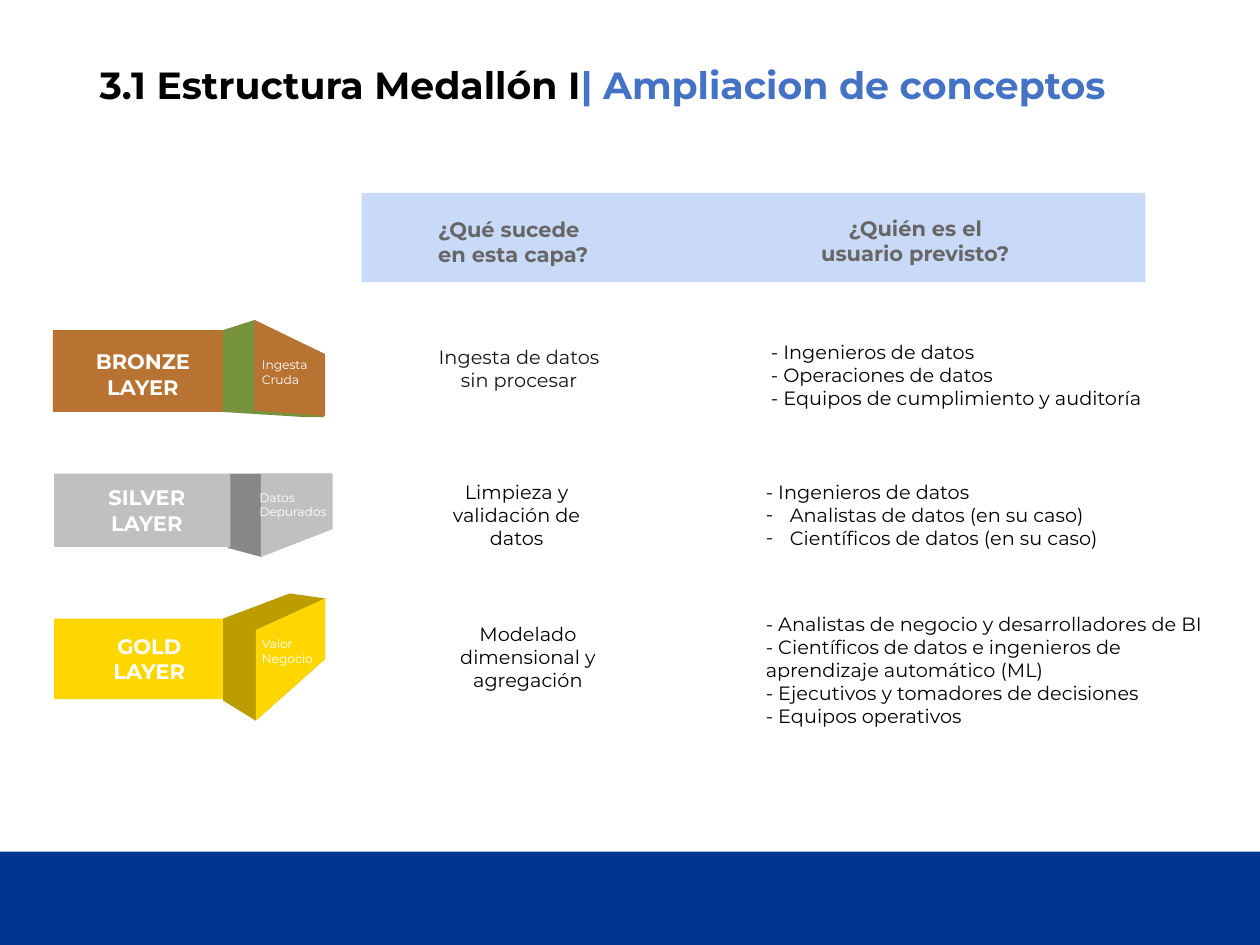
from lxml import etree
from pptx import Presentation
from pptx.dml.color import RGBColor
from pptx.enum.shapes import MSO_SHAPE
from pptx.enum.text import MSO_ANCHOR, MSO_AUTO_SIZE, PP_ALIGN
from pptx.oxml.ns import qn
from pptx.util import Inches, Pt

RECT = MSO_SHAPE.RECTANGLE
LEFT, CENTER = PP_ALIGN.LEFT, PP_ALIGN.CENTER
MIDDLE = MSO_ANCHOR.MIDDLE
NO_FIT, GROW = MSO_AUTO_SIZE.NONE, MSO_AUTO_SIZE.SHAPE_TO_FIT_TEXT
FONT = "Montserrat"

COLORS = {
    "black": "000000", "ink": "161616", "white": "FFFFFF", "gray": "666666",
    "title": "4472C4", "footer": "003594", "header": "C9DAF8",
    "bronze": "B87333", "bronze_side": "76923C",
    "silver": "C0C0C0", "silver_side": "888888",
    "gold": "FFD700", "gold_side": "BC9D00",
}

STYLES = {
    "title": {"size": Pt(21.6), "bold": True},
    "heading": {"size": Pt(12), "bold": True},
    "body": {"size": Pt(11), "bold": False},
    "tag": {"size": Pt(7), "bold": False},
}

LAYERS = [
    {
        "color": "bronze",
        "order": ("bar", "side", "face"),
        "bar": (0.42, 2.62, 1.36, 0.65),
        "side": [(1.77, 2.62), (2.02, 2.54), (2.57, 2.81), (2.57, 3.31),
                 (2.41, 3.31), (1.77, 3.27)],
        "face": [(2.02, 2.54), (2.58, 2.81), (2.58, 3.3), (2.02, 3.26)],
        "name": ("BRONZE LAYER", (0.62, 2.72, 1.03, 0.5)),
        "tag": (["Ingesta Cruda"], (1.98, 2.79, 0.78, 0.34)),
        "action": ("Ingesta de datos sin procesar", (3.31, 2.69, 1.62, 0.47), "ink"),
        "users": (["- Ingenieros de datos", "- Operaciones de datos",
                   "- Equipos de cumplimiento y auditoría"], (6.02, 2.65, 3.23, 0.66)),
        "bulleted": [],
    },
    {
        "color": "silver",
        "order": ("side", "face", "bar"),
        "bar": (0.43, 3.76, 1.4, 0.58),
        "side": [(1.81, 3.76), (2.63, 3.76), (2.63, 4.2), (2.07, 4.42),
                 (1.81, 4.35)],
        "face": [(2.07, 3.76), (2.64, 3.76), (2.64, 4.2), (2.07, 4.42)],
        "name": ("SILVER LAYER", (0.64, 3.8, 1.05, 0.5)),
        "tag": (["Datos", "Depurados"], (1.96, 3.84, 0.9, 0.34)),
        "action": ("Limpieza y validación de datos", (3.29, 3.76, 1.62, 0.66), "black"),
        "users": (["- Ingenieros de datos", "Analistas de datos (en su caso)",
                   "Científicos de datos (en su caso)"], (5.98, 3.76, 2.92, 0.66)),
        "bulleted": [1, 2],
    },
    {
        "color": "gold",
        "order": ("bar", "side", "face"),
        "bar": (0.43, 4.91, 1.36, 0.64),
        "side": [(1.77, 4.91), (2.3, 4.71), (2.58, 4.75), (2.58, 5.23),
                 (2.03, 5.72), (1.77, 5.56)],
        "face": [(2.03, 5), (2.58, 4.75), (2.58, 5.23), (2.03, 5.72)],
        "name": ("GOLD LAYER", (0.67, 4.98, 1.03, 0.5)),
        "tag": (["Valor", "Negocio"], (1.98, 5, 0.9, 0.34)),
        "action": ("Modelado dimensional y agregación", (3.38, 4.89, 1.62, 0.66), "black"),
        "users": (["- Analistas de negocio y desarrolladores de BI",
                   "- Científicos de datos e ingenieros de aprendizaje automático (ML)",
                   "- Ejecutivos y tomadores de decisiones",
                   "- Equipos operativos"], (5.98, 4.81, 3.67, 1.03)),
        "bulleted": [],
    },
]


def rgb(name):
    return RGBColor.from_string(COLORS[name])


def paint(sp, color):
    sp.shadow.inherit = False
    sp.fill.solid()
    sp.fill.fore_color.rgb = rgb(color)
    sp.line.fill.background()


def add_rect(slide, box, color):
    paint(slide.shapes.add_shape(RECT, *map(Inches, box)), color)


def add_outline(slide, points, color):
    start, *rest = [(Inches(x), Inches(y)) for x, y in points]
    builder = slide.shapes.build_freeform(*start)
    builder.add_line_segments(rest, close=True)
    paint(builder.convert_to_shape(), color)


def add_run(p, text, style, color):
    r = p.add_run()
    r.text = text
    for key, value in {"name": FONT, **STYLES[style]}.items():
        setattr(r.font, key, value)
    r.font.color.rgb = rgb(color)


def add_dash_bullet(p):
    pPr = p._p.get_or_add_pPr()
    pPr.set("marL", str(Inches(0.19)))
    pPr.set("indent", str(Inches(-0.19)))
    etree.SubElement(pPr, qn("a:buFont")).set("typeface", FONT)
    etree.SubElement(pPr, qn("a:buChar")).set("char", "-")


def add_text(slide, lines, box, style, color, align=LEFT, bulleted=()):
    tf = slide.shapes.add_textbox(*map(Inches, box)).text_frame
    tf.word_wrap = True
    tf.auto_size = GROW
    for i, line in enumerate(lines):
        p = tf.paragraphs[0] if i == 0 else tf.add_paragraph()
        p.alignment = align
        if i in bulleted:
            add_dash_bullet(p)
        add_run(p, line, style, color)


def add_title(slide):
    sp = slide.shapes.title
    box = map(Inches, (0.69, 0.4, 8.62, 0.59))
    for key, value in zip(("left", "top", "width", "height"), box):
        setattr(sp, key, value)
    tf = sp.text_frame
    for key, value in {"word_wrap": True, "auto_size": NO_FIT,
                       "vertical_anchor": MIDDLE}.items():
        setattr(tf, key, value)
    p = tf.paragraphs[0]
    p.alignment = LEFT
    p.line_spacing = 0.9
    add_run(p, "3.1 Estructura Medallón I", "title", "black")
    add_run(p, "| Ampliacion de conceptos", "title", "title")


def add_header(slide):
    add_rect(slide, (2.87, 1.53, 6.22, 0.71), "header")
    add_text(slide, ["¿Qué sucede en esta capa?"], (3.38, 1.67, 1.57, 0.5),
             "heading", "gray")
    add_text(slide, ["¿Quién es el usuario previsto?"], (6.33, 1.66, 1.87, 0.5),
             "heading", "gray", CENTER)


def add_layer(slide, layer):
    color = layer["color"]
    parts = {"bar": (add_rect, color), "side": (add_outline, f"{color}_side"),
             "face": (add_outline, color)}
    for part in layer["order"]:
        draw, fill = parts[part]
        draw(slide, layer[part], fill)
    name, name_box = layer["name"]
    add_text(slide, [name], name_box, "heading", "white", CENTER)
    add_text(slide, *layer["tag"], "tag", "white")
    action, action_box, action_color = layer["action"]
    add_text(slide, [action], action_box, "body", action_color, CENTER)
    add_text(slide, *layer["users"], "body", "black", bulleted=layer["bulleted"])


def main():
    prs = Presentation()
    prs.slide_width, prs.slide_height = Inches(10), Inches(7.5)
    slide = prs.slides.add_slide(prs.slide_layouts[5])
    add_rect(slide, (0, 6.76, 10, 0.74), "footer")
    add_title(slide)
    add_header(slide)
    for layer in LAYERS:
        add_layer(slide, layer)
    prs.save("out.pptx")


if __name__ == "__main__":
    main()
